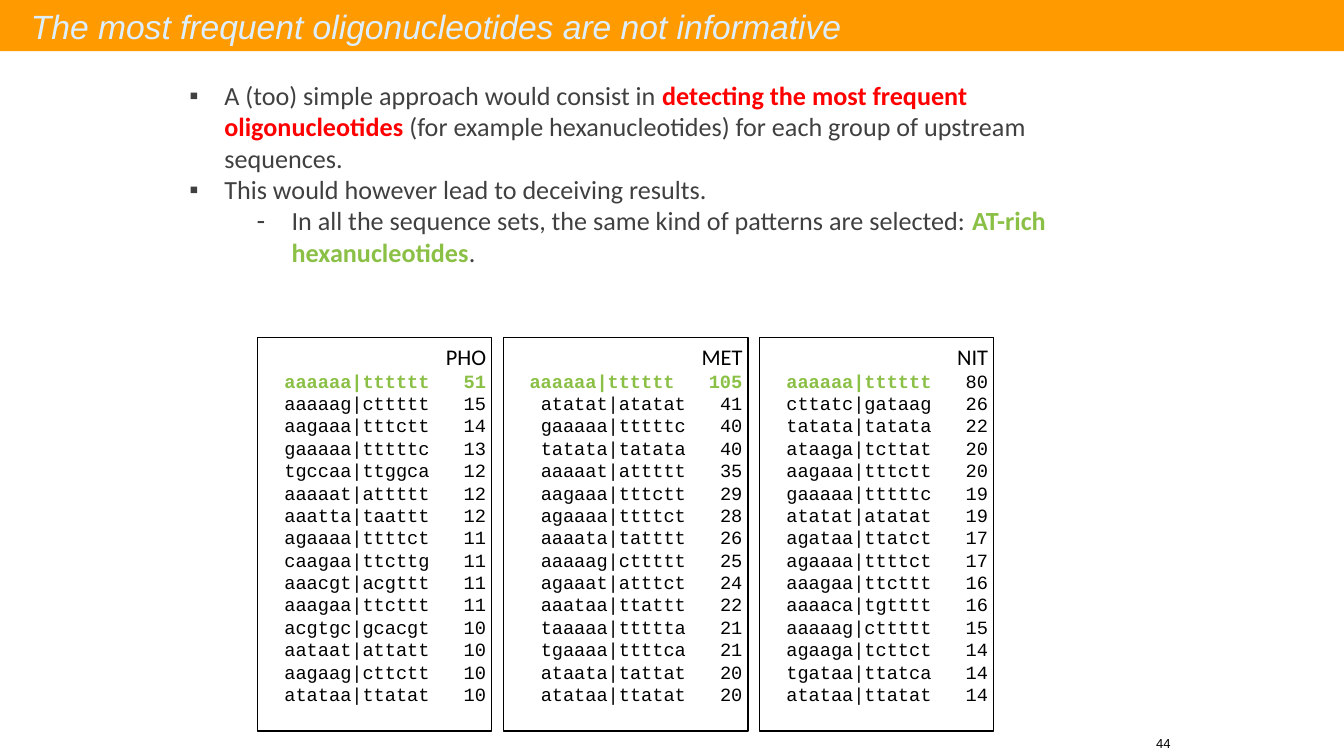
from lxml.etree import SubElement
from pptx import Presentation
from pptx.dml.color import RGBColor
from pptx.enum.shapes import MSO_SHAPE
from pptx.enum.text import MSO_ANCHOR, PP_ALIGN
from pptx.oxml.ns import qn
from pptx.util import Pt

BLACK, GREY, RED, GREEN = "000000", "404040", "FF0000", "8BC046"
ORANGE, PALE_BLUE = "FF9A00", "DDEFFF"
INSET = 2.88
CHAR_WIDTH = 6
COLUMN_GAP = 3

BULLETS = [
    (0, "▪", [
        ("A (too) simple approach would consist in ", GREY, False),
        ("detecting the most frequent oligonucleotides", RED, True),
        (" (for example hexanucleotides) for each group of upstream sequences.", GREY, False),
    ]),
    (0, "▪", [("This would however lead to deceiving results.", GREY, False)]),
    (1, "-", [
        ("In all the sequence sets, the same kind of patterns are selected: ", GREY, False),
        ("AT-rich hexanucleotides", GREEN, True),
        (".", GREY, False),
    ]),
]

GENE_SETS = [
    ("PHO", 125.3, True, """
        aaaaaa|tttttt 51
        aaaaag|cttttt 15
        aagaaa|tttctt 14
        gaaaaa|tttttc 13
        tgccaa|ttggca 12
        aaaaat|attttt 12
        aaatta|taattt 12
        agaaaa|ttttct 11
        caagaa|ttcttg 11
        aaacgt|acgttt 11
        aaagaa|ttcttt 11
        acgtgc|gcacgt 10
        aataat|attatt 10
        aagaag|cttctt 10
        atataa|ttatat 10"""),
    ("MET", 131, True, """
        aaaaaa|tttttt 105
        atatat|atatat 41
        gaaaaa|tttttc 40
        tatata|tatata 40
        aaaaat|attttt 35
        aagaaa|tttctt 29
        agaaaa|ttttct 28
        aaaata|tatttt 26
        aaaaag|cttttt 25
        agaaat|atttct 24
        aaataa|ttattt 22
        taaaaa|ttttta 21
        tgaaaa|ttttca 21
        ataata|tattat 20
        atataa|ttatat 20"""),
    ("NIT", 125.3, False, """
        aaaaaa|tttttt 80
        cttatc|gataag 26
        tatata|tatata 22
        ataaga|tcttat 20
        aagaaa|tttctt 20
        gaaaaa|tttttc 19
        atatat|atatat 19
        agataa|ttatct 17
        agaaaa|ttttct 17
        aaagaa|ttcttt 16
        aaaaca|tgtttt 16
        aaaaag|cttttt 15
        agaaga|tcttct 14
        tgataa|ttatca 14
        atataa|ttatat 14"""),
]


def colour(value):
    return RGBColor.from_string(value)


def add_run(paragraph, text, font, size, fill, bold=False, italic=False):
    run = paragraph.add_run()
    run.text = text
    run.font.name = font
    run.font.size = Pt(size)
    run.font.color.rgb = colour(fill)
    run.font.bold = bold
    run.font.italic = italic


def prepare_frame(shape, anchor):
    frame = shape.text_frame
    frame.word_wrap = True
    frame.vertical_anchor = anchor
    frame.margin_left = frame.margin_right = Pt(INSET)
    frame.margin_top = frame.margin_bottom = Pt(INSET)
    return frame


def add_textbox(slide, left, top, width, height, anchor=MSO_ANCHOR.TOP):
    box = slide.shapes.add_textbox(Pt(left), Pt(top), Pt(width), Pt(height))
    return prepare_frame(box, anchor)


def add_rectangle(slide, left, top, width, height, anchor, fill=None, line=None):
    panel = slide.shapes.add_shape(
        MSO_SHAPE.RECTANGLE, Pt(left), Pt(top), Pt(width), Pt(height))
    panel.shadow.inherit = False
    if fill:
        panel.fill.solid()
        panel.fill.fore_color.rgb = colour(fill)
    else:
        panel.fill.background()
    if line:
        panel.line.color.rgb = colour(line)
        panel.line.width = Pt(0.75)
    else:
        panel.line.fill.background()
    return prepare_frame(panel, anchor)


def set_indent(paragraph, margin, first_line):
    properties = paragraph._p.get_or_add_pPr()
    properties.set("marL", str(Pt(margin)))
    properties.set("indent", str(Pt(first_line)))
    return properties


def add_bullet(paragraph, level, mark):
    paragraph.level = level
    properties = set_indent(paragraph, 18.72 + 36 * level, -18.72)
    mark_colour = SubElement(properties, qn("a:buClr"))
    SubElement(mark_colour, qn("a:srgbClr"), val=GREY)
    SubElement(properties, qn("a:buFont"), typeface="Arial")
    SubElement(properties, qn("a:buChar"), char=mark)


def add_tabs(paragraph, stops):
    tabs = SubElement(paragraph._p.get_or_add_pPr(), qn("a:tabLst"))
    for position, side in stops:
        SubElement(tabs, qn("a:tab"), pos=str(Pt(position)), algn=side)


def add_title(slide, text):
    frame = add_rectangle(slide, 0, 0, 720, 27.4, MSO_ANCHOR.MIDDLE, fill=ORANGE)
    title = frame.paragraphs[0]
    title.alignment = PP_ALIGN.LEFT
    set_indent(title, 0, 13.7)
    add_run(title, text, "Arial", 18, PALE_BLUE, italic=True)


def add_argument(slide):
    frame = add_textbox(slide, 98.6, 39.6, 502, 124.6)
    for index, (level, mark, pieces) in enumerate(BULLETS):
        paragraph = frame.add_paragraph() if index else frame.paragraphs[0]
        add_bullet(paragraph, level, mark)
        for text, fill, bold in pieces:
            add_run(paragraph, text, "Calibri", 14, fill, bold)


def add_gene_set(slide, left, width, name, count_highlighted, listing):
    frame = add_rectangle(slide, left, 180.7, width, 211, MSO_ANCHOR.TOP, line=BLACK)
    heading = frame.paragraphs[0]
    heading.alignment = PP_ALIGN.RIGHT
    add_run(heading, name, "Calibri", 12, BLACK)
    right = width - 2 * INSET - 0.1
    for rank, row in enumerate(listing.split("\n")[1:]):
        pattern, count = row.split()
        start = right - CHAR_WIDTH * (len(pattern) + COLUMN_GAP + len(count))
        line = frame.add_paragraph()
        line.alignment = PP_ALIGN.LEFT
        line.line_spacing = Pt(12)
        add_tabs(line, [(start, "l"), (right, "r")])
        top_pattern = rank == 0
        top_count = top_pattern and count_highlighted
        for text, marked in ((pattern, top_pattern), (count, top_count)):
            add_run(line, "\t" + text, "Courier New", 10, GREEN if marked else BLACK, marked)


def add_slide_number(slide, number):
    frame = add_textbox(slide, 615.6, 393, 14.4, 12.2, MSO_ANCHOR.BOTTOM)
    frame.paragraphs[0].alignment = PP_ALIGN.RIGHT
    add_run(frame.paragraphs[0], number, "Arial", 7, BLACK)


def main():
    deck = Presentation()
    deck.slide_width, deck.slide_height = Pt(720), Pt(405)
    slide = deck.slides.add_slide(deck.slide_layouts[6])
    add_title(slide, "The most frequent oligonucleotides are not informative")
    add_slide_number(slide, "44")
    add_argument(slide)
    left = 138.1
    for name, width, count_highlighted, listing in GENE_SETS:
        add_gene_set(slide, left, width, name, count_highlighted, listing)
        left += width + 6.3
    deck.save("out.pptx")


if __name__ == "__main__":
    main()
